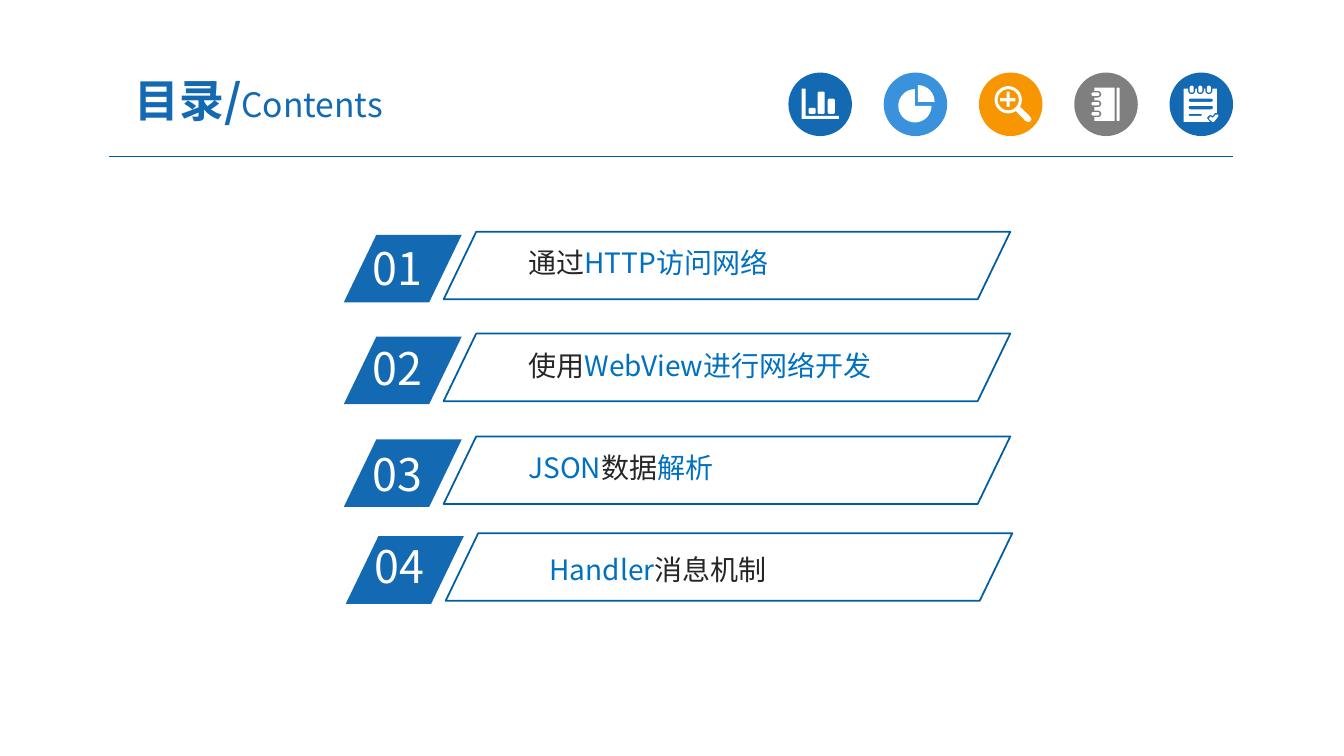
"""Build a contents slide with five header icons and four numbered topics."""
import math

from lxml import etree
from pptx import Presentation
from pptx import util as u
from pptx.dml import color
from pptx.enum import shapes, text
from pptx.oxml import ns

WIDTH, HEIGHT = 13.33, 7.5
FONT = "Noto Sans CJK SC"
BLUE, SKY, ORANGE, GRAY, WHITE = "1369B2", "3992DB", "F79600", "7F7F7F", "FFFFFF"
DARK, ACCENT, FRAME, RULE = "262626", "0070C0", "005DA2", "005B9E"

TITLE = [("目录/", 32, BLUE, True), ("Contents", 24, BLUE, False)]

# number, label parts, row left, row top, number top, label left, label top
TOPICS = [
    ("01", [("通过", DARK), ("HTTP访问网络", ACCENT)], 3.41, 2.30, 2.34, 5.17, 2.40),
    ("02", [("使用", DARK), ("WebView进行网络开发", ACCENT)], 3.41, 3.31, 3.33, 5.17, 3.42),
    ("03", [("JSON", ACCENT), ("数据", DARK), ("解析", ACCENT)], 3.41, 4.33, 4.38, 5.17, 4.43),
    ("04", [("Handler", ACCENT), ("消息机制", DARK)], 3.43, 5.29, 5.30, 5.38, 5.44),
]
ICON_LEFT, ICON_TOP, ICON_SIZE, ICON_STEP = 7.82, 0.72, 0.63, 0.945
BANNER_HEIGHT, SLANT = 0.67, 0.482


def rounded(left, top, width, height, radius):
    """Return the four corner arcs of a rounded box."""
    right, bottom = left + width - radius, top + height - radius
    corners = [(left + radius, top + radius), (right, top + radius),
               (right, bottom), (left + radius, bottom)]
    return [(x, y, radius, 180 + 90 * turn, 270 + 90 * turn)
            for turn, (x, y) in enumerate(corners)]


# Outlines in hundredths of an inch: a pair is a point,
# five numbers are an arc (centre x, centre y, radius, start, end).
CHART = [
    [(13, 16), (17, 16), (17, 43), (50, 43), (50, 46), (13, 46)],
    rounded(20, 35, 7, 6, 1.5), rounded(29, 19, 7, 22, 1.5), rounded(39, 26, 7, 15, 1.5),
]
PIE = [[(34, 29), (34, 29, 16.5, -90, 0)], [(31, 33), (31, 33, 16.5, 0, 270)]]
MAGNIFIER = [
    [(29, 27, 13.5, 56, 390), (50, 43), (52, 46), (51, 48.5), (48.5, 49), (46, 48)],
    rounded(18.5, 16.5, 21, 21, 10.5),
    [(27.5, 19), (30.5, 19), (30.5, 25.5), (36, 25.5), (36, 28.5), (30.5, 28.5),
     (30.5, 34), (27.5, 34), (27.5, 28.5), (21, 28.5), (21, 25.5), (27.5, 25.5)],
]
RINGS = (21.5, 31, 41)
NOTEBOOK = [
    [(20, 15), (40, 15), (40, 48), (20, 48)]
    + [part for ring in reversed(RINGS)
       for part in ((20, ring + 3.3), (23.5, ring, 3.3, 90, -90), (20, ring - 3.3))],
    rounded(42, 15, 3, 33, 1),
] + [rounded(17, ring - 1.7, 8, 3.4, 1.7) for ring in RINGS]
TABS = (22, 30.5, 39)
CHECKLIST = [
    [(14, 16)]
    + [part for tab in TABS
       for part in ((tab - 3.5, 16), (tab, 18, 3.5, 180, 0), (tab + 3.5, 16))]
    + [(47, 16), (47, 40), (45, 40), (43, 43), (40, 42), (37, 45), (40, 49), (14, 49)],
    [(48, 44), (44, 49), (42.5, 49), (39, 46), (40.5, 43.5), (43, 45), (46, 41.5), (48.5, 42)],
    rounded(19, 26, 24, 3, 1.5), rounded(19, 33, 24, 3.5, 1.5), rounded(19, 41, 13, 2, 1),
] + [rounded(tab - 2, 13, 4, 7, 2) for tab in TABS]
ICONS = [(BLUE, CHART), (SKY, PIE), (ORANGE, MAGNIFIER), (GRAY, NOTEBOOK), (BLUE, CHECKLIST)]


def rgb(value):
    """Turn a hex string into a colour."""
    return color.RGBColor.from_string(value)


def paint(shape, fill=None, line=None):
    """Set fill and outline, leaving out what is not given."""
    shape.shadow.inherit = False
    if fill:
        shape.fill.solid()
        shape.fill.fore_color.rgb = rgb(fill)
    else:
        shape.fill.background()
    if line:
        shape.line.color.rgb = rgb(line)
        shape.line.width = u.Pt(1.25)
    else:
        shape.line.fill.background()


def add_preset(page, kind, place, fill=None, line=None):
    """Add a painted preset shape."""
    shape = page.shapes.add_shape(kind, *map(u.Inches, place))
    paint(shape, fill, line)
    return shape


def add_text(page, place, spans, margins=(0.1, 0.05)):
    """Add a text box of (wording, size, colour, bold) spans."""
    box = page.shapes.add_textbox(*map(u.Inches, place))
    frame = box.text_frame
    frame.word_wrap = True
    frame.margin_left = frame.margin_right = u.Inches(margins[0])
    frame.margin_top = frame.margin_bottom = u.Inches(margins[1])
    for wording, size, tint, bold in spans:
        span = frame.paragraphs[0].add_run()
        span.text = wording
        span.font.size, span.font.bold, span.font.name = u.Pt(size), bold, FONT
        span.font.color.rgb = rgb(tint)
        etree.SubElement(span.font._element, ns.qn("a:ea"), typeface=FONT)
    return frame


def trace(outline, left, top):
    """Turn points and arcs into slide positions."""
    points = []
    for part in outline:
        if len(part) == 2:
            points.append(part)
            continue
        x, y, radius, start, end = part
        steps = max(4, round(abs(end - start) / 10))
        angles = [math.radians(start + (end - start) * i / steps) for i in range(steps + 1)]
        points += [(x + radius * math.cos(a), y + radius * math.sin(a)) for a in angles]
    return [(u.Inches(left + x / 100), u.Inches(top + y / 100)) for x, y in points]


def add_icon(page, left, tint, outlines):
    """Add a coloured disc with a white symbol."""
    add_preset(page, shapes.MSO_SHAPE.OVAL, (left, ICON_TOP, ICON_SIZE, ICON_SIZE), tint)
    first, *others = [trace(outline, left, ICON_TOP) for outline in outlines]
    builder = page.shapes.build_freeform(*first[0])
    builder.add_line_segments(first[1:])
    for points in others:
        builder.move_to(*points[0])
        builder.add_line_segments(points[1:])
    paint(builder.convert_to_shape(), WHITE)


def add_topic(page, number, parts, left, top, number_top, label_left, label_top):
    """Add one numbered row."""
    kind = shapes.MSO_SHAPE.PARALLELOGRAM
    badge = add_preset(page, kind, (left, top + 0.03, 1.17, BANNER_HEIGHT), BLUE)
    add_text(page, (left + 0.19, number_top, 1.12, 0.64), [(number, 32, WHITE, False)])
    add_text(page, (label_left, label_top, 4.57, 0.41),
             [(wording, 20, tint, False) for wording, tint in parts], (0.07, 0.04))
    banner = add_preset(page, kind, (left + 0.99, top, 5.62, BANNER_HEIGHT), line=FRAME)
    badge.adjustments[0] = banner.adjustments[0] = SLANT


def main():
    """Build and save the deck."""
    deck = Presentation()
    deck.slide_width, deck.slide_height = u.Inches(WIDTH), u.Inches(HEIGHT)
    page = deck.slides.add_slide(deck.slide_layouts[6])
    rule = page.shapes.add_connector(
        shapes.MSO_CONNECTOR.STRAIGHT, *map(u.Inches, (1.08, 1.55, 12.23, 1.55)))
    rule.line.color.rgb, rule.line.width = rgb(RULE), u.Pt(0.75)
    etree.SubElement(rule._element.spPr, ns.qn("a:effectLst"))
    for index, (tint, outlines) in enumerate(ICONS):
        add_icon(page, ICON_LEFT + index * ICON_STEP, tint, outlines)
    heading = add_text(page, (0.92, 0.63, 3.29, 0.72), TITLE, (0.13, 0.07))
    heading.vertical_anchor = text.MSO_ANCHOR.MIDDLE
    heading.paragraphs[0].alignment = text.PP_ALIGN.CENTER
    for topic in TOPICS:
        add_topic(page, *topic)
    deck.save("out.pptx")


if __name__ == "__main__":
    main()
